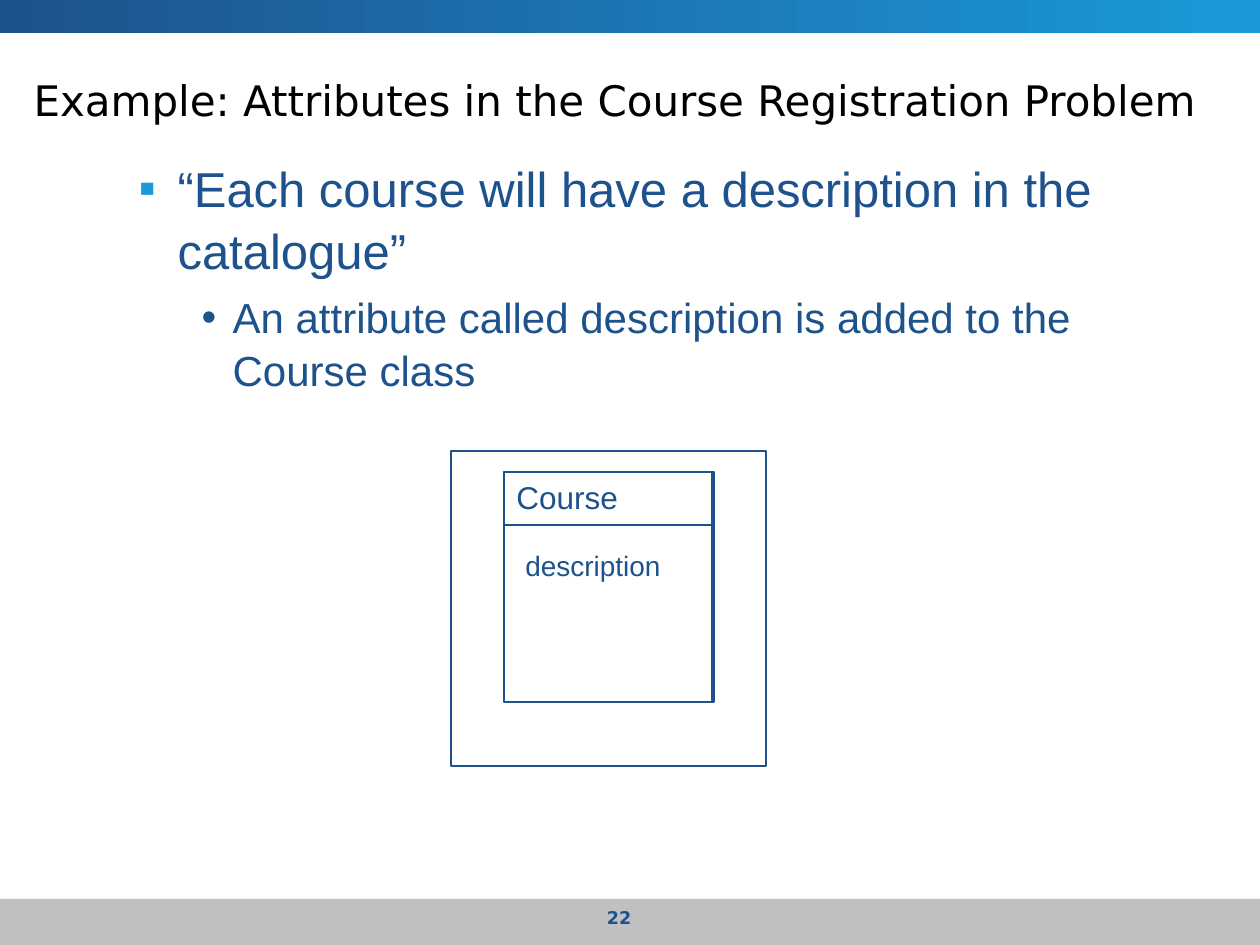
from lxml.etree import SubElement
from pptx import Presentation
from pptx.dml.color import RGBColor
from pptx.enum.shapes import MSO_CONNECTOR, MSO_SHAPE
from pptx.enum.text import MSO_ANCHOR, MSO_AUTO_SIZE, PP_ALIGN
from pptx.oxml.ns import qn
from pptx.util import Emu, Pt

PX = 914400 // 126
NAVY, SKY, GREY, WHITE, BLACK = "1D528D", "1B9AD9", "C0C0C0", "FFFFFF", "000000"


def px(*lengths):
    """Turn lengths in px into EMU."""
    return [Emu(n * PX) for n in lengths]


def rgb(color):
    """Turn a hex string into a colour."""
    return RGBColor.from_string(color)


def place(s, x, y, w, h):
    """Set the box of a shape."""
    s.left, s.top, s.width, s.height = px(x, y, w, h)


def style(p, size, font="Arial", color=NAVY, bold=False):
    """Format the runs of a paragraph."""
    for r in p.runs:
        r.font.size, r.font.name, r.font.bold = Pt(size), font, bold
        r.font.color.rgb = rgb(color)


def add_rect(slide, box, fill=None, line=None, width=0.75):
    """Add a rectangle with an optional fill and outline."""
    s = slide.shapes.add_shape(MSO_SHAPE.RECTANGLE, *px(*box))
    s.shadow.inherit = False
    if fill:
        s.fill.solid()
        s.fill.fore_color.rgb = rgb(fill)
    else:
        s.fill.background()
    if line:
        s.line.color.rgb = rgb(line)
        s.line.width = Pt(width)
    else:
        s.line.fill.background()
    return s


def add_text(slide, box, text, align=PP_ALIGN.LEFT, wrap=True, **look):
    """Add a one-line text box."""
    tf = slide.shapes.add_textbox(*px(*box)).text_frame
    tf.text = text
    tf.word_wrap = wrap
    tf.paragraphs[0].alignment = align
    style(tf.paragraphs[0], **look)


def set_bullet(p, char, color, margin, indent):
    """Give a paragraph a coloured bullet and a hanging indent."""
    pPr = p._p.get_or_add_pPr()
    left, hang = px(margin, indent)
    pPr.set("marL", str(left))
    pPr.set("indent", str(-hang))
    clr = SubElement(pPr, qn("a:buClr"))
    SubElement(clr, qn("a:srgbClr")).set("val", color)
    SubElement(pPr, qn("a:buFont")).set("typeface", "Arial")
    SubElement(pPr, qn("a:buChar")).set("char", char)


def add_bands(slide, w, h):
    """Draw the gradient top band and the grey footer band."""
    top = add_rect(slide, (0, 0, w, 33), fill=SKY)
    top.fill.gradient()
    top.fill.gradient_angle = 0
    for stop, color in zip(top.fill.gradient_stops, (NAVY, SKY)):
        stop.color.rgb = rgb(color)
    for stop, position in zip(top.fill.gradient_stops, (0, 1)):
        stop.position = position
    add_rect(slide, (0, h - 46, w, 46), fill=GREY)


def fill_title(s, box, text):
    """Place and format the title."""
    place(s, *box)
    tf = s.text_frame
    tf.text = text
    tf.auto_size = MSO_AUTO_SIZE.NONE
    tf.vertical_anchor = MSO_ANCHOR.MIDDLE
    tf.paragraphs[0].alignment = PP_ALIGN.LEFT
    style(tf.paragraphs[0], 24, "DejaVu Sans", BLACK)


def fill_body(s, box, items):
    """Place the body and write its two-level list."""
    place(s, *box)
    tf = s.text_frame
    tf.text = "\n".join(items)
    tf.auto_size = MSO_AUTO_SIZE.NONE
    levels = [(28, 0, "▪", SKY, 102, 39), (24, 6, "•", NAVY, 157, 31)]
    for level, (p, look) in enumerate(zip(tf.paragraphs, levels)):
        size, before, *bullet = look
        p.level = level
        p.line_spacing = 1.05
        p.space_before = Pt(before)
        set_bullet(p, *bullet)
        style(p, size)


def add_class_diagram(slide, x, y, size, name, attribute):
    """Draw a framed class box with its name and an attribute."""
    add_rect(slide, (x, y, size, size), WHITE, NAVY)
    left, top, w, h = x + 53, y + 21, 210, 230
    add_rect(slide, (left, top, w, h), WHITE, NAVY)
    tf = add_rect(slide, (left, top, w - 2, h), line=NAVY, width=1).text_frame
    tf.text = name
    tf.word_wrap = False
    tf.vertical_anchor = MSO_ANCHOR.TOP
    style(tf.paragraphs[0], 18)
    rule = slide.shapes.add_connector(
        MSO_CONNECTOR.STRAIGHT, *px(left, top + 53, left + w, top + 53))
    rule.line.color.rgb = rgb(NAVY)
    rule.line.width = Pt(1)
    SubElement(rule._element.spPr, qn("a:effectLst"))
    add_text(slide, (left + 9, top + 70, 160, 47), attribute, wrap=False, size=16)


def main():
    """Build the slide and save it."""
    prs = Presentation()
    w, h = 1260, 945
    prs.slide_width, prs.slide_height = px(w, h)
    slide = prs.slides.add_slide(prs.slide_layouts[1])
    add_bands(slide, w, h)
    fill_title(slide.shapes.title, (21, 63, 1207, 73),
               "Example: Attributes in the Course Registration Problem")
    fill_body(slide.placeholders[1], (63, 149, 1134, 723),
              ["“Each course will have a description in the catalogue”",
               "An attribute called description is added to the Course class"])
    add_class_diagram(slide, 451, 451, 315, "Course", "description")
    add_text(slide, (472, 901, 294, 35), "22", PP_ALIGN.CENTER,
             size=10, font="DejaVu Sans", bold=True)
    prs.save("out.pptx")


if __name__ == "__main__":
    main()
